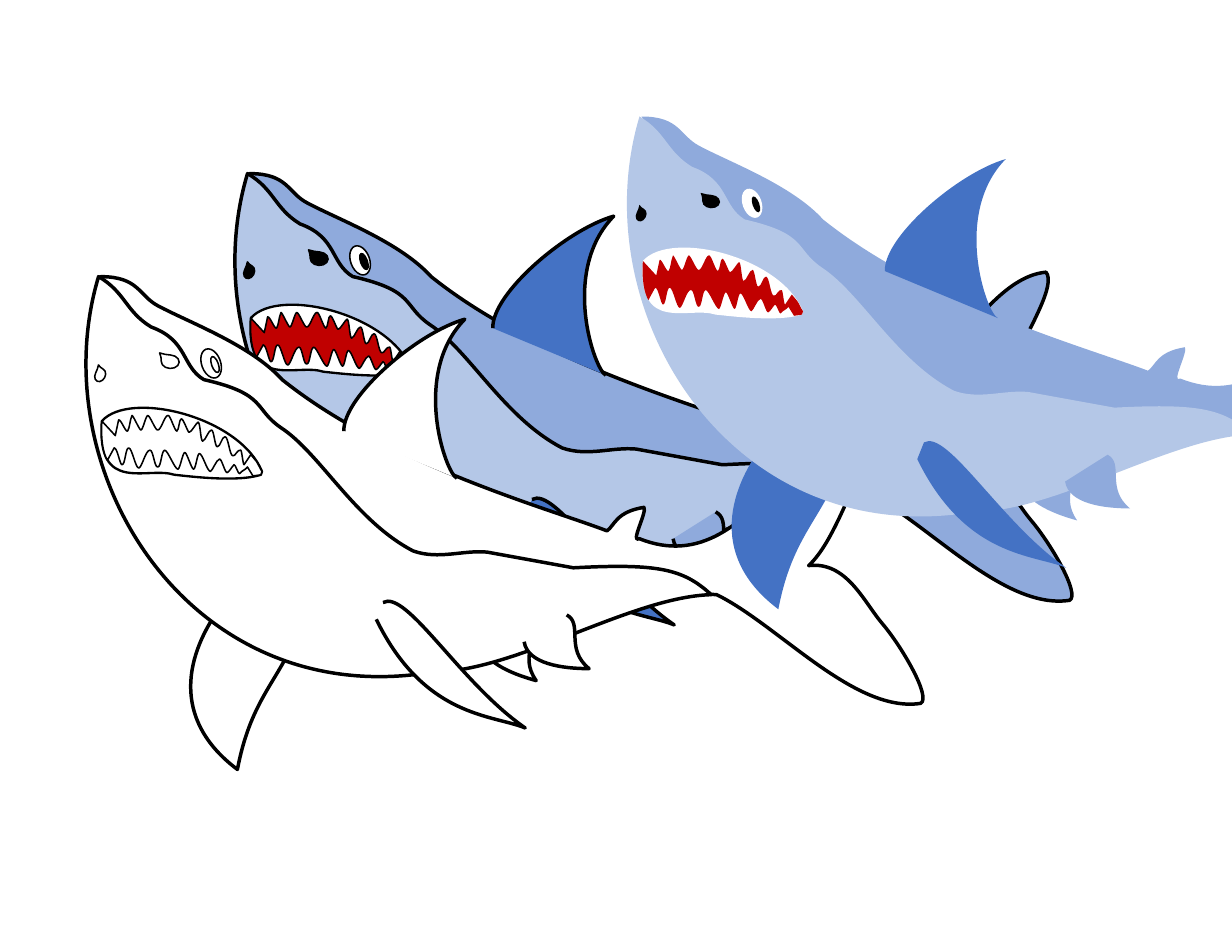
from pptx import Presentation
from pptx.dml.color import RGBColor
from pptx.enum.shapes import MSO_SHAPE
from pptx.oxml.ns import qn
from pptx.util import Pt
from lxml import etree

PX = 9144  # EMU: 100 px to the inch
ELLIPSE = MSO_SHAPE.OVAL
TEARDROP = MSO_SHAPE.TEAR

BLACK = RGBColor(0x00, 0x00, 0x00)
WHITE = RGBColor(0xFF, 0xFF, 0xFF)
FIN_BLUE = RGBColor(0x44, 0x72, 0xC4)
BACK_BLUE = RGBColor(0x8F, 0xAA, 0xDC)
BELLY_BLUE = RGBColor(0xB4, 0xC7, 0xE7)
MOUTH_RED = RGBColor(0xC0, 0x00, 0x00)

# Outlines: M start, L lines, C cubic curves (three points each), Z close
FAR_FIN = "M 395,482 C 378,519 356,537 345,595 285,550 298,492 332,447"
BACK = """M 223,155 C 257,155 257,172 274,181 302,196 357,216 385,247
    480,323 623,362 675,382 682,377 683,365 708,361 711,365 695,394 704,389
    811,432 859,250 934,243 943,254 920,291 907,320 894,338 878,392 855,413
    889,409 904,445 921,465 938,485 965,531 955,536 896,545 828,466 773,439
    505,420 368,428 223,155 Z"""
BELLY = """M 221,155 C 245,169 245,186 268,200 301,212 295,235 315,247
    372,260 359,273 384,290 419,313 450,373 502,400 525,408 546,399 568,401
    L 645,415 C 721,411 743,416 768,439 696,441 593,508 520,508
    302,545 169,328 221,155 Z"""
DORSAL_FIN = "M 440,293 C 439,262 506,205 548,193 500,242 531,331 541,335"
NEAR_FIN = "M 469,461 C 512,549 573,546 602,558 544,518 496,434 475,446"
REAR_FIN = "M 639,457 C 654,465 637,487 659,505 636,505 604,501 601,481"
MOUTH = """M 224,284 C 249,256 347,280 367,329 L 366,332
    C 344,339 300,333 289,332 265,324 219,350 224,284 Z"""
UPPER_RIGHT_TEETH = """M 283,279 C 285,278 289,293 291,293 293,292 293,282 295,282
    297,282 301,295 302,294 304,294 308,286 310,285 312,286 312,301 314,302
    317,301 319,292 322,292 324,292 325,307 327,307 330,307 331,298 334,298
    337,298 338,315 341,315 343,316 345,309 348,310 349,310 350,323 351,323
    L 357,314 362,320 C 364,323 365,326 367,329 """
LOWER_TEETH = """L 366,332 359,333 354,325
    C 352,328 349,328 347,331 346,332 343,322 342,323 340,325 338,329 336,330
    334,331 331,317 329,318 326,319 323,328 321,329 318,329 314,313 311,313
    309,314 308,326 306,327 304,327 300,312 298,312 296,313 294,326 292,327
    289,327 283,310 280,310 277,311 277,325 274,325 271,326 270,310 267,310
    263,310 260,325 257,326 254,326 251,308 248,308 245,308 245,323 242,323
    240,323 238,308 235,308 L 229,319 """
UPPER_LEFT_TEETH = """C 225,312 223,301 224,284
    L 236,297 239,283 C 241,282 245,294 247,293 249,290 249,283 251,279
    252,279 258,293 259,292 261,291 263,280 265,279 267,279 272,293 274,292
    277,292 280,279 283,279 Z"""


def read_outline(outline, dx, dy):
    """Return (command, points) steps, moved by dx, dy; one step per segment."""
    steps = []
    command = ""
    for token in outline.split():
        if token.isalpha():
            command = token
            if command == "Z":
                steps.append((command, []))
            continue
        x, y = (int(number) for number in token.split(","))
        wanted = 3 if command == "C" else 1
        if not steps or steps[-1][0] != command or len(steps[-1][1]) == wanted:
            steps.append((command, []))
        steps[-1][1].append((x + dx, y + dy))
    return steps


def curve_points(start, controls, count=24):
    """Points along a cubic curve, which give the true extent of its frame."""
    points = []
    for index in range(1, count + 1):
        t = index / count
        weights = ((1 - t) ** 3, 3 * t * (1 - t) ** 2, 3 * t * t * (1 - t), t ** 3)
        corners = (start, *controls)
        points.append(tuple(
            sum(weight * corner[axis] for weight, corner in zip(weights, corners))
            for axis in (0, 1)))
    return points


def write_segments(shape, steps):
    """Put the lines and curves of the steps into the shape's geometry."""
    names = {"M": "a:moveTo", "L": "a:lnTo", "C": "a:cubicBezTo", "Z": "a:close"}
    left, top = round(shape.left / PX), round(shape.top / PX)
    geometry = shape._element.find(".//" + qn("a:path"))
    for child in list(geometry):
        geometry.remove(child)
    for command, points in steps:
        segment = etree.SubElement(geometry, qn(names[command]))
        for x, y in points:
            etree.SubElement(segment, qn("a:pt"), x=str(x - left), y=str(y - top))


class Shark:
    def __init__(self, slide, dx, dy, coloured, outlined):
        self.shapes = slide.shapes.add_group_shape().shapes
        self.dx, self.dy = dx, dy
        self.coloured, self.outlined = coloured, outlined

    def paint(self, shape, colour, width):
        shape.shadow.inherit = False
        shape.fill.solid()
        shape.fill.fore_color.rgb = colour if self.coloured else WHITE
        if self.outlined:
            shape.line.color.rgb = BLACK
            shape.line.width = Pt(width)
        else:
            shape.line.fill.background()

    def add_outline(self, outline, colour, width=2.25, shift=(0, 0), rotation=0):
        steps = read_outline(outline, self.dx + shift[0], self.dy + shift[1])
        start = position = steps[0][1][0]
        frame = []
        for command, points in steps[1:]:
            if points:
                frame += curve_points(position, points) if command == "C" else points
                position = points[-1]
        builder = self.shapes.build_freeform(*start, scale=PX)
        builder.add_line_segments(frame, close=steps[-1][0] == "Z")
        shape = builder.convert_to_shape()
        write_segments(shape, steps)
        shape.rotation = rotation
        self.paint(shape, colour, width)

    def add_preset(self, kind, box, colour, rotation, flipped=False):
        left, top, width, height = box
        shape = self.shapes.add_shape(
            kind, (left + self.dx) * PX, (top + self.dy) * PX, width * PX, height * PX)
        shape.rotation = rotation
        if kind == TEARDROP:
            shape.adjustments[0] = 1.23
        if flipped:
            shape._element.spPr.find(qn("a:xfrm")).set("flipH", "1")
        self.paint(shape, colour, 1)

    def draw(self):
        self.add_outline(FAR_FIN, FIN_BLUE)
        self.add_outline(REAR_FIN + " Z", BACK_BLUE, shift=(-40, 4), rotation=15.1)
        self.add_outline(BACK, BACK_BLUE)
        self.add_outline(BELLY, BELLY_BLUE)
        self.add_outline(DORSAL_FIN, FIN_BLUE)
        self.add_outline(NEAR_FIN, FIN_BLUE)
        self.add_outline(REAR_FIN, BACK_BLUE)
        self.add_preset(ELLIPSE, (313, 219, 17, 27), WHITE, 340.2)
        self.add_preset(ELLIPSE, (322, 226, 6, 15), BLACK, 340.2)
        self.add_outline(MOUTH, WHITE, 1.5)
        throat = UPPER_RIGHT_TEETH + LOWER_TEETH + UPPER_LEFT_TEETH
        self.add_outline(throat, MOUTH_RED, 1)
        self.add_preset(TEARDROP, (279, 223, 12, 16), BLACK, 272.9)
        self.add_preset(TEARDROP, (218, 237, 9, 12), BLACK, 27.3, flipped=True)


def main():
    presentation = Presentation()
    presentation.slide_width = 1100 * PX
    presentation.slide_height = 850 * PX
    slide = presentation.slides.add_slide(presentation.slide_layouts[6])
    Shark(slide, 0, 0, coloured=True, outlined=True).draw()
    Shark(slide, -133, 92, coloured=False, outlined=True).draw()
    Shark(slide, 350, -51, coloured=True, outlined=False).draw()
    presentation.save("out.pptx")


if __name__ == "__main__":
    main()
